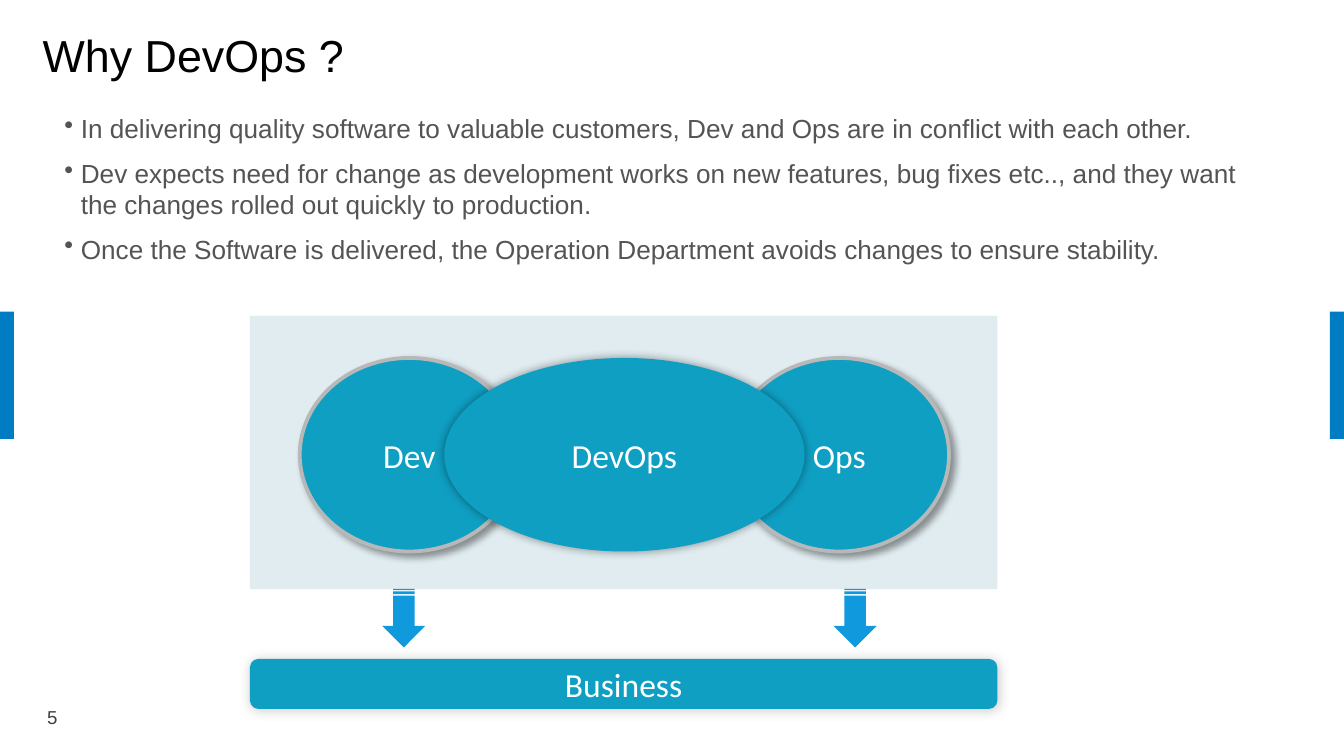
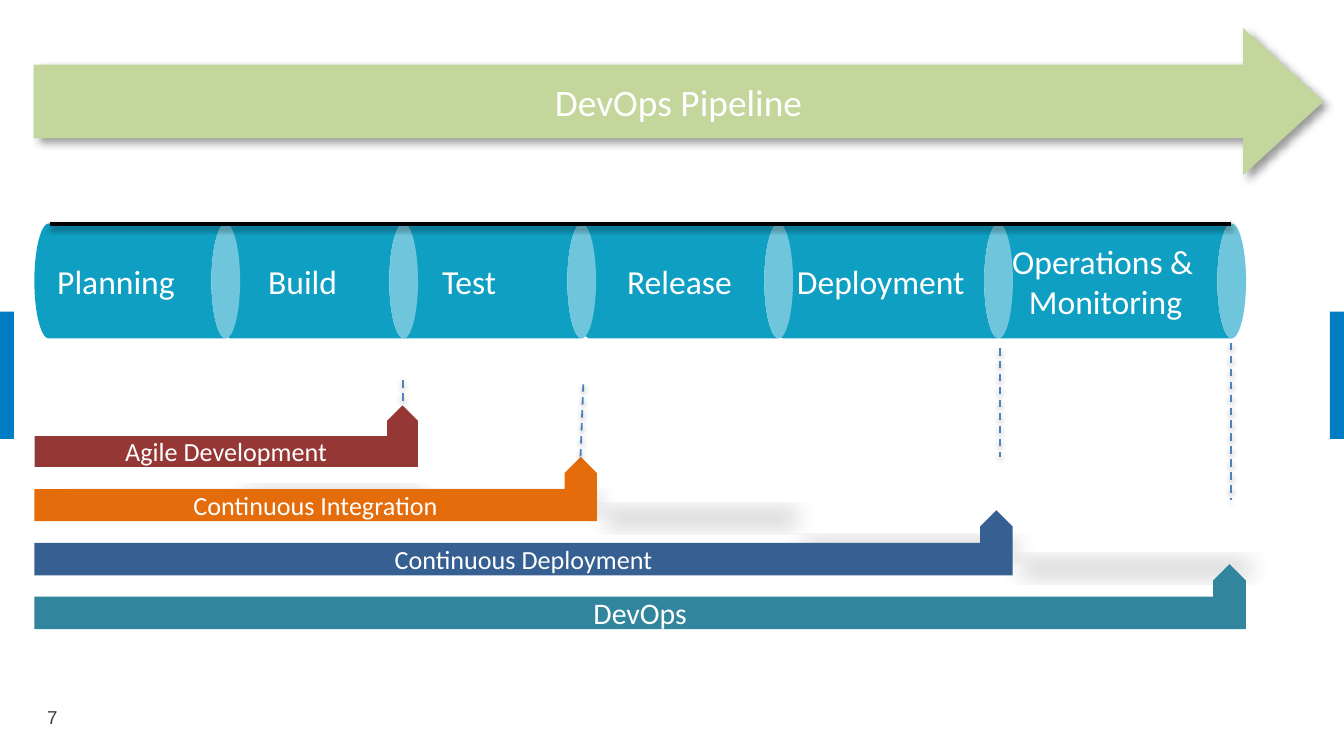
"""Build two slides on DevOps: why it is needed and its pipeline."""
import pptx
import pptx.dml.color
import pptx.enum.dml
import pptx.enum.shapes
import pptx.enum.text
import pptx.oxml.ns
import pptx.util
from lxml import etree

Pt = pptx.util.Pt
qn = pptx.oxml.ns.qn
SHAPE = pptx.enum.shapes.MSO_SHAPE
ALIGN = pptx.enum.text.PP_ALIGN
ANCHOR = pptx.enum.text.MSO_ANCHOR
STRAIGHT = pptx.enum.shapes.MSO_CONNECTOR.STRAIGHT

TEAL, BAND, WHITE, BLACK = "0F9FC3", "007CC3", "FFFFFF", "000000"
DROP = dict(alpha=40, blur=4, distance=3, angle=45)
SOFT = dict(alpha=20, blur=6, distance=1, angle=45)
GLOW = dict(alpha=40, blur=5, distance=0, angle=0)
FLOOR = dict(alpha=15, blur=12, distance=25, angle=90, scale=(90, -19))
LINE = dict(alpha=38, blur=3, distance=1.6, angle=90)


def color(value):
    """Turn a hex string into a colour."""
    return pptx.dml.color.RGBColor.from_string(value)


def write_text(shape, lines, size=18, font="Calibri", fill=WHITE, align=ALIGN.CENTER,
               anchor=ANCHOR.MIDDLE, margins=(3.6, 3.6), indents=None, bullet=None,
               before=0):
    """Write formatted paragraphs into a shape."""
    frame = shape.text_frame
    frame.word_wrap = True
    frame.vertical_anchor = anchor
    frame.margin_left = frame.margin_right = Pt(margins[0])
    frame.margin_top = frame.margin_bottom = Pt(margins[1])
    for index, line in enumerate(lines):
        paragraph = frame.paragraphs[0] if index == 0 else frame.add_paragraph()
        paragraph.alignment = align
        paragraph.space_before = Pt(before)
        run = paragraph.add_run()
        run.text = line
        run.font.size = Pt(size)
        run.font.name = font
        run.font.color.rgb = color(fill)
        properties = paragraph._p.get_or_add_pPr()
        if indents:
            properties.set("marL", str(Pt(indents[index])))
        if bullet:
            properties.set("indent", str(-Pt(indents[index])))
            etree.SubElement(properties, qn("a:buChar")).set("char", bullet)


presentation = pptx.Presentation()
presentation.slide_width = Pt(720)
presentation.slide_height = Pt(405)
styled = []
shadows = []

slides = []
for number in ("5", "7"):
    slide = presentation.slides.add_slide(presentation.slide_layouts[6])
    slides.append(slide)
    for left in (0, 712.5):
        band = slide.shapes.add_shape(SHAPE.RECTANGLE, Pt(left), Pt(167), Pt(7.5), Pt(68.2))
        styled.append((band, BAND, None))
    box = slide.shapes.add_textbox(Pt(18.2), Pt(372.8), Pt(36.7), Pt(22.3))
    write_text(box, [number], size=10, font="Arial", fill="404040", align=ALIGN.LEFT,
               margins=(7.2, 3.6))
why, pipeline = slides

panel = why.shapes.add_shape(SHAPE.RECTANGLE, Pt(133.9), Pt(169.2), Pt(400.4), Pt(146.5))
panel.fill.solid()
panel.fill.fore_color.rgb = color("31859C")
panel_color = panel.fill._xPr.find(".//" + qn("a:srgbClr"))
etree.SubElement(panel_color, qn("a:alpha")).set("val", "15000")
panel.line.fill.background()
panel.shadow.inherit = False

title = why.shapes.add_textbox(Pt(15.8), Pt(11.5), Pt(687), Pt(36))
write_text(title, ["Why DevOps ?"], size=24, font="Arial", fill=BLACK, align=ALIGN.LEFT,
           anchor=ANCHOR.TOP, margins=(7.2, 3.6))
body = why.shapes.add_textbox(Pt(27.4), Pt(56.9), Pt(663), Pt(101.5))
write_text(body, [
    "In delivering quality software to valuable customers, Dev and Ops are in conflict "
    "with each other.",
    "Dev expects need for change as development works on new features, bug fixes etc.., "
    "and they want the changes rolled out quickly to production.",
    "Once the Software is delivered, the Operation Department avoids changes to ensure "
    "stability.",
], size=14, font="Arial", fill="545454", align=ALIGN.LEFT, anchor=ANCHOR.TOP,
    margins=(7.2, 3.6), indents=[8.8] * 3, bullet="•", before=7)

for label, kind, left, top, width, height, outline, shadow in (
    ("Dev", SHAPE.OVAL, 160.6, 191.8, 117.4, 103.7, "B8B8B8", DROP),
    ("Business", SHAPE.ROUNDED_RECTANGLE, 133.9, 353, 400.4, 26.8, None, SOFT),
    ("Ops", SHAPE.OVAL, 391, 191.8, 117.4, 103.7, "B8B8B8", DROP),
    ("DevOps", SHAPE.OVAL, 238, 191.8, 193, 103.7, None, GLOW),
):
    shape = why.shapes.add_shape(kind, Pt(left), Pt(top), Pt(width), Pt(height))
    write_text(shape, [label])
    styled.append((shape, TEAL, outline))
    shadows.append((shape, shadow))

for left in (200.6, 442.4):
    arrow = why.shapes.add_shape(SHAPE.STRIPED_RIGHT_ARROW, Pt(left), Pt(319.7), Pt(31.4), Pt(23))
    arrow.rotation = 90
    styled.append((arrow, "1199DD", None))

points = [(18, 34.6), (666, 34.6), (666, 15.1), (709, 54.4), (666, 93.7), (666, 74), (18, 74)]
corners = [(Pt(x), Pt(y)) for x, y in points]
builder = pipeline.shapes.build_freeform(*corners[0])
builder.add_line_segments(corners[1:], close=True)
banner = builder.convert_to_shape()
write_text(banner, ["DevOps Pipeline"], size=20)
styled.append((banner, "C3D69B", None))
shadows.append((banner, DROP))

stage_height, stage_middle = 61.6, 150.5
for labels, left, right, indents in (
    (["Operations &", "Monitoring"], 528.5, 667.5, [6, 15]),
    (["Deployment"], 412.2, 542.6, [7]),
    (["Release"], 308.2, 424.8, [20]),
    (["Test"], 209.1, 319.3, [20]),
    (["Build"], 115.9, 223.9, [20]),
    (["Planning"], 18.4, 128.6, [4.5]),
):
    length = right - left
    stage = pipeline.shapes.add_shape(
        SHAPE.CAN, Pt((left + right - stage_height) / 2), Pt(stage_middle - length / 2),
        Pt(stage_height), Pt(length))
    stage.rotation = 90
    write_text(stage, labels, align=ALIGN.LEFT, margins=(0, 0), indents=indents)
    stage.element.txBody.bodyPr.set("vert", "vert270")
    styled.append((stage, TEAL, None))
    shadows.append((stage, FLOOR))

for label, top, width, height, fill, size in (
    ("Continuous Integration", 244.8, 301.2, 34.4, "E46C0A", 14),
    ("Agile Development", 217.2, 205.3, 32.9, "953735", 14),
    ("Continuous Deployment", 273.4, 524, 34.9, "376092", 14),
    ("DevOps", 302.2, 648.9, 34.9, "31859C", 16),
):
    bar = pipeline.shapes.add_shape(SHAPE.BENT_UP_ARROW, Pt(18.5), Pt(top), Pt(width), Pt(height))
    for index, adjustment in enumerate((0.5, 0.25, 0.25)):
        bar.adjustments[index] = adjustment
    write_text(bar, [label], size=size)
    styled.append((bar, fill, None))

for start_x, start_y, end_x, end_y, line_color, width, dash in (
    (216, 203.8, 216, 217.4, "4F81BD", 1, True),
    (312.5, 205.9, 311, 244.8, "4F81BD", 1, True),
    (535.7, 186.5, 535.7, 244.8, "4F81BD", 1, True),
    (659.5, 183.6, 659.5, 267.8, "4F81BD", 1, True),
    (27, 120, 659.5, 120, BLACK, 2, False),
):
    connector = pipeline.shapes.add_connector(
        STRAIGHT, Pt(start_x), Pt(start_y), Pt(end_x), Pt(end_y))
    connector.line.color.rgb = color(line_color)
    connector.line.width = Pt(width)
    if dash:
        connector.line.dash_style = pptx.enum.dml.MSO_LINE.DASH
    etree.SubElement(connector.element.spPr, qn("a:effectLst"))
    shadows.append((connector, LINE))

for shape, fill, outline in styled:
    shape.shadow.inherit = False
    shape.fill.solid()
    shape.fill.fore_color.rgb = color(fill)
    if outline:
        shape.line.color.rgb = color(outline)
        shape.line.width = Pt(2)
    else:
        shape.line.fill.background()

for shape, shadow in shadows:
    effects = shape.element.spPr.find(qn("a:effectLst"))
    outer = etree.SubElement(effects, qn("a:outerShdw"))
    outer.set("blurRad", str(Pt(shadow["blur"])))
    outer.set("dist", str(Pt(shadow["distance"])))
    outer.set("dir", str(shadow["angle"] * 60000))
    if "scale" in shadow:
        for name, percent in zip(("sx", "sy"), shadow["scale"]):
            outer.set(name, str(percent * 1000))
    outer.set("rotWithShape", "0")
    shadow_color = etree.SubElement(outer, qn("a:srgbClr"))
    shadow_color.set("val", BLACK)
    etree.SubElement(shadow_color, qn("a:alpha")).set("val", str(shadow["alpha"] * 1000))

presentation.save("out.pptx")
